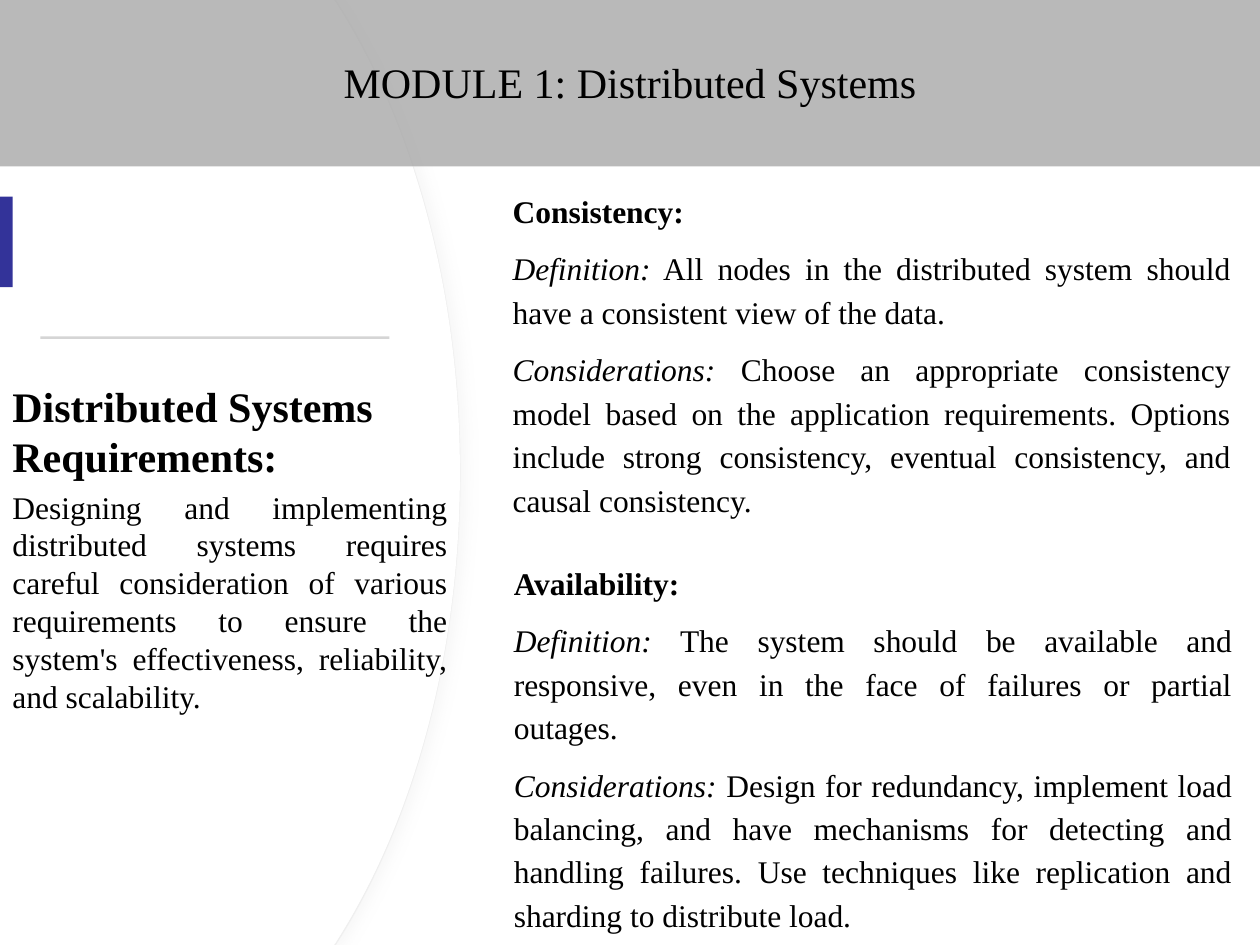
"""Build the slide on distributed systems requirements: consistency and availability."""
import lxml.etree
import pptx
import pptx.dml.color
import pptx.enum.shapes
import pptx.enum.text
import pptx.oxml
import pptx.oxml.ns
import pptx.util
from pptx.util import Inches

THEME = {
    "font": "Times New Roman",
    "heading": pptx.util.Pt(24),
    "body": pptx.util.Pt(18),
    "text": "000000",
    "panel": "FFFFFF",
    "panel_edge": "EFEFEF",
    "panel_shadow": "D9D9D9",
    "banner": "A6A6A6",
    "accent": "333399",
    "rule": "D5D5D5",
}
ALIGN = pptx.enum.text.PP_ALIGN
ANCHOR = pptx.enum.text.MSO_ANCHOR
RECTANGLE = pptx.enum.shapes.MSO_SHAPE.RECTANGLE
qn = pptx.oxml.ns.qn


def add_run(paragraph, text, size, bold=False, italic=False):
    run = paragraph.add_run()
    run.text = text
    run.font.name = THEME["font"]
    run.font.size = size
    run.font.bold = bold
    run.font.italic = italic
    run.font.color.rgb = pptx.dml.color.RGBColor.from_string(THEME["text"])


def paint(shape, color):
    shape.fill.solid()
    shape.fill.fore_color.rgb = pptx.dml.color.RGBColor.from_string(color)
    shape.line.fill.background()
    shape.shadow.inherit = False


deck = pptx.Presentation()
deck.slide_width, deck.slide_height = Inches(10), Inches(7.5)
slide = deck.slides.add_slide(deck.slide_layouts[5])
shapes = slide.shapes

panels = []
for corner in (2.66, 2.65):
    bend = corner + 0.05
    outline = [
        (corner, 0), (bend, 0.08),
        (3.29, 1.02), (3.65, 2.32), (3.65, 3.75),
        (3.65, 5.18), (3.29, 6.48), (bend, 7.42),
        (corner, 7.5), (0, 7.5),
    ]
    builder = shapes.build_freeform(0, 0)
    builder.add_line_segments([(Inches(x), Inches(y)) for x, y in outline], close=True)
    panel = builder.convert_to_shape()
    segments = list(panel.element.spPr.iter(qn("a:lnTo")))
    for first in (2, 5):
        curve = lxml.etree.Element(qn("a:cubicBezTo"))
        segments[first].addprevious(curve)
        for segment in segments[first:first + 3]:
            curve.append(segment[0])
            segment.getparent().remove(segment)
    paint(panel, THEME["panel"])
    panels.append(panel)

edged_panel = panels[0]
edged_panel.line.color.rgb = pptx.dml.color.RGBColor.from_string(THEME["panel_edge"])
edged_panel.line.width = pptx.util.Pt(0.75)
effects = edged_panel.element.spPr.find(qn("a:effectLst"))
effects.append(pptx.oxml.parse_xml(
    f'<a:outerShdw {pptx.oxml.ns.nsdecls("a")} blurRad="{pptx.util.Pt(7)}" '
    f'dist="{pptx.util.Pt(3)}" dir="0" algn="l" rotWithShape="0">'
    f'<a:srgbClr val="{THEME["panel_shadow"]}"><a:alpha val="20000"/></a:srgbClr>'
    '</a:outerShdw>'
))

banner = shapes.title
banner.left, banner.top = Inches(0), Inches(-0.03)
banner.width, banner.height = Inches(10), Inches(1.35)
banner.element.getparent().append(banner.element)
banner.fill.solid()
banner.fill.fore_color.rgb = pptx.dml.color.RGBColor.from_string(THEME["banner"])
banner_color = banner.element.spPr.find(".//" + qn("a:srgbClr"))
lxml.etree.SubElement(banner_color, qn("a:alpha")).set("val", "78000")
banner.text_frame.vertical_anchor = ANCHOR.MIDDLE
banner_line = banner.text_frame.paragraphs[0]
banner_line.alignment = ALIGN.CENTER
add_run(banner_line, "MODULE 1: Distributed Systems", THEME["heading"])

for left, top, width, height, color in (
    (0, 1.56, 0.1, 0.72, THEME["accent"]),
    (0.32, 2.67, 2.77, 0.02, THEME["rule"]),
):
    bar = shapes.add_shape(RECTANGLE, Inches(left), Inches(top), Inches(width), Inches(height))
    paint(bar, color)

overview = shapes.add_textbox(Inches(0), Inches(2.97), Inches(3.65), Inches(3.51)).text_frame
overview.word_wrap = True
add_run(overview.paragraphs[0], "Distributed Systems Requirements:", THEME["heading"], bold=True)
summary = overview.add_paragraph()
summary.alignment = ALIGN.JUSTIFY
summary.space_before = pptx.util.Pt(3.6)
add_run(
    summary,
    "Designing and implementing distributed systems requires careful consideration of various "
    "requirements to ensure the system's effectiveness, reliability, and scalability.",
    THEME["body"],
)

requirements = [
    (3.97, 1.43, 2.74, "Consistency:",
     " All nodes in the distributed system should have a consistent view of the data.",
     " Choose an appropriate consistency model based on the application requirements. Options "
     "include strong consistency, eventual consistency, and causal consistency."),
    (3.98, 4.38, 3.09, "Availability:",
     " The system should be available and responsive, even in the face of failures or partial "
     "outages.",
     " Design for redundancy, implement load balancing, and have mechanisms for detecting and "
     "handling failures. Use techniques like replication and sharding to distribute load."),
]
for left, top, height, name, definition, considerations in requirements:
    requirement = shapes.add_textbox(
        Inches(left), Inches(top), Inches(5.9), Inches(height)
    ).text_frame
    requirement.word_wrap = True
    requirement.auto_size = pptx.enum.text.MSO_AUTO_SIZE.SHAPE_TO_FIT_TEXT
    add_run(requirement.paragraphs[0], name, THEME["body"], bold=True)
    for label, detail in (("Definition:", definition), ("Considerations:", considerations)):
        entry = requirement.add_paragraph()
        entry.alignment = ALIGN.JUSTIFY
        add_run(entry, label, THEME["body"], italic=True)
        add_run(entry, detail, THEME["body"])
    for paragraph in requirement.paragraphs:
        paragraph.line_spacing = 1.15
        paragraph.space_after = pptx.util.Pt(8)

deck.save("out.pptx")
